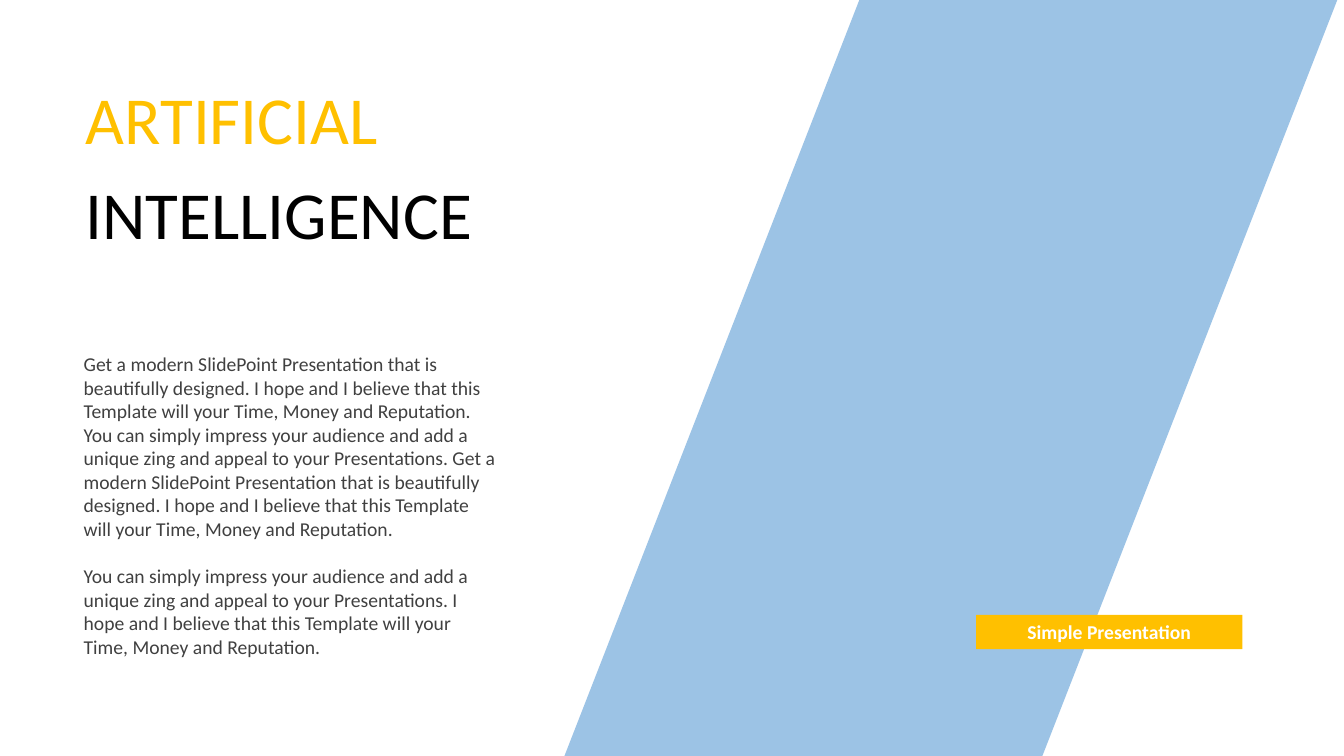
from lxml import etree
from pptx import Presentation
from pptx.dml.color import RGBColor
from pptx.enum.shapes import MSO_SHAPE
from pptx.enum.text import MSO_ANCHOR, MSO_AUTO_SIZE, PP_ALIGN
from pptx.oxml.ns import qn
from pptx.util import Inches, Pt

SLIDE_WIDTH, SLIDE_HEIGHT = Inches(13.33), Inches(7.5)
COLUMNS, ROWS = 16, 9
TITLE_AND_CONTENT = 1

LEFT, CENTER, JUSTIFY = PP_ALIGN.LEFT, PP_ALIGN.CENTER, PP_ALIGN.JUSTIFY
TOP, MIDDLE = MSO_ANCHOR.TOP, MSO_ANCHOR.MIDDLE
NO_AUTOFIT = MSO_AUTO_SIZE.NONE
PARALLELOGRAM, RECTANGLE = MSO_SHAPE.PARALLELOGRAM, MSO_SHAPE.RECTANGLE

FONT = "Calibri"
BLUE = RGBColor(0x5B, 0x9B, 0xD5)
GOLD = RGBColor(0xFF, 0xC0, 0x00)
BLACK = RGBColor(0x00, 0x00, 0x00)
GREY = RGBColor(0x40, 0x40, 0x40)
WHITE = RGBColor(0xFF, 0xFF, 0xFF)

TITLE_LINES = (("ARTIFICIAL", GOLD), ("INTELLIGENCE", BLACK))
PITCH = (
    "Get a modern SlidePoint Presentation that is beautifully designed. "
    "I hope and I believe that this Template will your Time, Money and Reputation."
)
IMPRESS = (
    "You can simply impress your audience and add a unique zing and appeal "
    "to your Presentations."
)
CLOSING = (
    "I hope and I believe that this Template will your Time, Money and Reputation."
)
BODY_LINES = (
    (f"{PITCH} {IMPRESS} {PITCH}", GREY),
    (f"{IMPRESS} {CLOSING}", GREY),
)


def grid_box(column, row, columns, rows):
    """Turn grid units into left, top, width and height."""
    cell_width, cell_height = SLIDE_WIDTH / COLUMNS, SLIDE_HEIGHT / ROWS
    return (
        round(column * cell_width),
        round(row * cell_height),
        round(columns * cell_width),
        round(rows * cell_height),
    )


def add_plain_shape(slide, kind, box, color, opacity=100):
    shape = slide.shapes.add_shape(kind, *box)
    shape.shadow.inherit = False
    shape.fill.solid()
    shape.fill.fore_color.rgb = color
    shape.line.fill.background()
    if opacity < 100:
        rgb = shape.fill._xPr.find(f"{qn('a:solidFill')}/{qn('a:srgbClr')}")
        etree.SubElement(rgb, qn("a:alpha"), val=str(opacity * 1000))
    return shape


def write_lines(frame, lines, size, align, anchor, gap=0, bold=False):
    """Fill a text frame with one paragraph per (text, color) pair."""
    frame.word_wrap = True
    frame.auto_size = NO_AUTOFIT
    frame.vertical_anchor = anchor
    for index, (text, color) in enumerate(lines):
        paragraph = frame.add_paragraph() if index else frame.paragraphs[0]
        paragraph.text = text
        properties = paragraph._p.get_or_add_pPr()
        properties.set("marL", "0")
        properties.set("indent", "0")
        etree.SubElement(properties, qn("a:buNone"))
        paragraph.alignment = align
        paragraph.space_before = Pt(gap if index else 0)
        font = paragraph.font
        font.name, font.size, font.bold = FONT, Pt(size), bold
        font.color.rgb = color


def place_text(placeholder, box, lines, size, align, gap):
    placeholder.left, placeholder.top, placeholder.width, placeholder.height = box
    write_lines(placeholder.text_frame, lines, size, align, TOP, gap)


def main():
    presentation = Presentation()
    presentation.slide_width, presentation.slide_height = SLIDE_WIDTH, SLIDE_HEIGHT
    layout = presentation.slide_layouts[TITLE_AND_CONTENT]
    slide = presentation.slides.add_slide(layout)

    # Slanted band
    band = add_plain_shape(
        slide, PARALLELOGRAM, grid_box(6.7, 0, 9.22, 9.05), BLUE, opacity=60
    )
    band.adjustments[0] = 0.39

    # Two-line title
    place_text(
        slide.shapes.title, grid_box(0.9, 0.86, 6.41, 2.24),
        TITLE_LINES, 48, JUSTIFY, gap=10.5,
    )

    # Body text
    body = slide.placeholders[1]
    place_text(body, grid_box(0.9, 4.13, 5.17, 4.08), BODY_LINES, 14, LEFT, gap=17)
    body.text_frame.margin_left = Inches(0.08)
    body.text_frame.margin_right = Inches(0.12)

    # Badge
    badge = add_plain_shape(
        slide, RECTANGLE, grid_box(11.62, 7.32, 3.17, 0.41), GOLD
    )
    write_lines(
        badge.text_frame, [("Simple Presentation", WHITE)],
        14, CENTER, MIDDLE, bold=True,
    )

    presentation.save("out.pptx")


if __name__ == "__main__":
    main()
